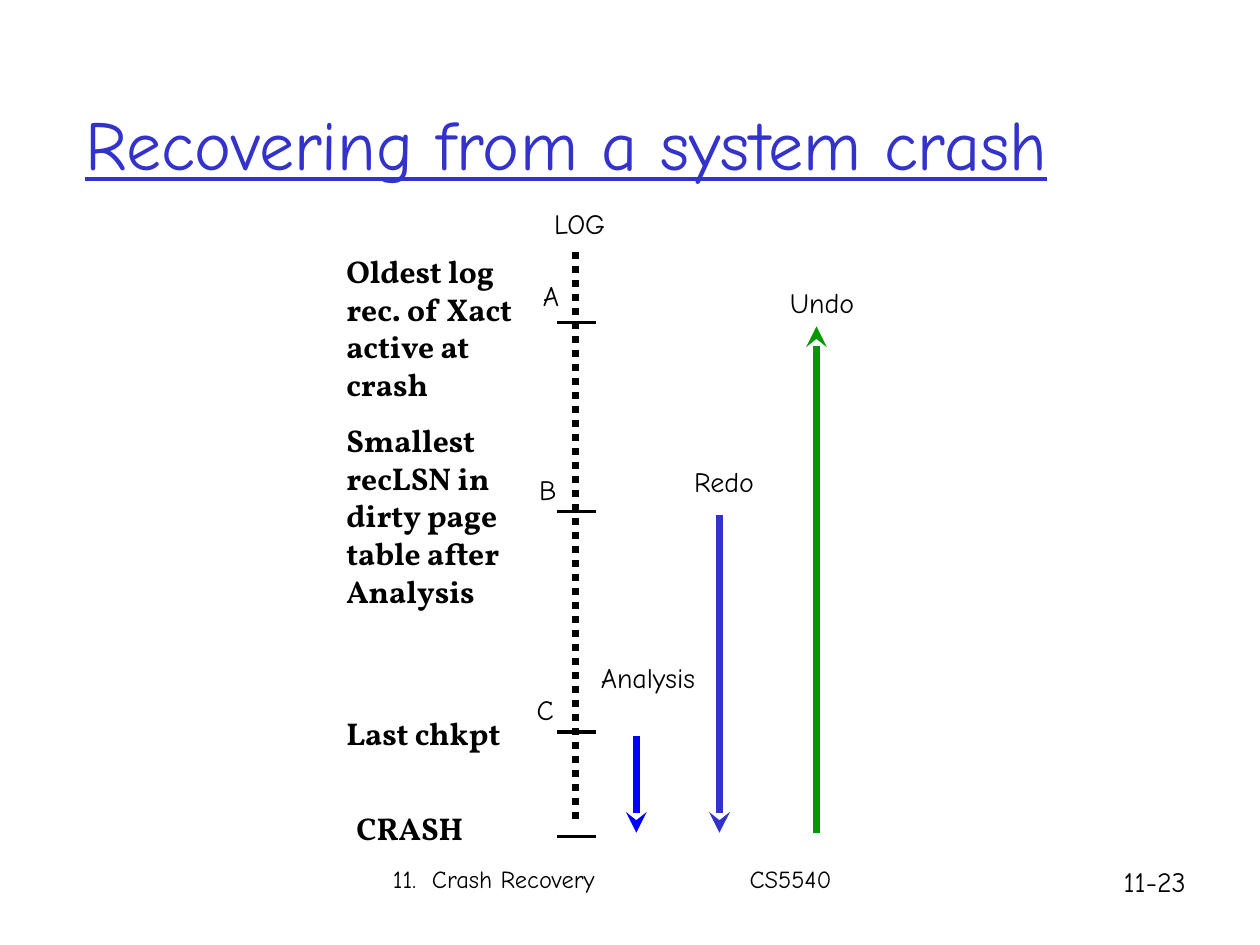
from lxml import etree
from pptx import Presentation
from pptx import util as u
from pptx.dml.color import RGBColor
from pptx.enum import dml, shapes, text
from pptx.oxml import ns

BLACK = RGBColor(0x00, 0x00, 0x00)
INDIGO = RGBColor(0x33, 0x33, 0xCC)
BLUE = RGBColor(0x00, 0x00, 0xFF)
GREEN = RGBColor(0x00, 0x99, 0x00)
HAND, SERIF = "Comic Neue", "Vollkorn"
LOG_X, CRASH_Y = 4.57, 6.61
TICK_LEFT, TICK_RIGHT = 4.42, 4.73


def add_text(slide, words, box, size=16, name=HAND, color=BLACK, bold=False,
             underline=False, wrap=True, anchor=text.MSO_ANCHOR.TOP, tabs=()):
    """Add a one-paragraph text box, with optional tab stops in inches."""
    shape = slide.shapes.add_textbox(*map(u.Inches, box))
    frame = shape.text_frame
    frame.word_wrap = wrap
    frame.vertical_anchor = anchor
    paragraph = frame.paragraphs[0]
    paragraph.text = words
    if tabs:
        properties = paragraph._p.get_or_add_pPr()
        tab_list = etree.SubElement(properties, ns.qn("a:tabLst"))
        for stop in tabs:
            etree.SubElement(tab_list, ns.qn("a:tab"),
                             pos=str(u.Inches(stop)), algn="l")
    font = paragraph.font
    font.size, font.name, font.bold = u.Pt(size), name, bold
    font.underline = underline
    font.color.rgb = color


def add_line(slide, start, end, color=BLACK, width=2, dash=None, arrow=False):
    """Add a straight line, optionally dashed or with a stealth arrowhead at its end."""
    connector = slide.shapes.add_connector(
        shapes.MSO_CONNECTOR.STRAIGHT, *map(u.Inches, (*start, *end)))
    line = connector.line
    line.color.rgb = color
    line.width = u.Pt(width)
    if dash:
        line.dash_style = dash
    if arrow:
        etree.SubElement(line._get_or_add_ln(), ns.qn("a:tailEnd"), type="stealth")
    etree.SubElement(connector._element.spPr, ns.qn("a:effectLst"))


def add_log(slide):
    """Draw the dotted log with its ticks, letters and descriptions."""
    add_line(slide, (LOG_X, 2), (LOG_X, 6.53), width=4, dash=dml.MSO_LINE.ROUND_DOT)
    add_text(slide, "LOG", (4.3, 1.59, 0.61, 0.37), wrap=False)
    for y in (2.56, 4.06, 5.81, 6.64):
        add_line(slide, (TICK_LEFT, y), (TICK_RIGHT, y))
    for letter, left, top in (("A", 4.21, 2.16), ("B", 4.18, 3.7), ("C", 4.16, 5.45)):
        add_text(slide, letter, (left, top, 0.35, 0.37), wrap=False)
    for words, left, top, height in (
            ("Oldest log rec. of Xact active at crash", 2.65, 1.95, 1.3),
            ("Smallest recLSN in dirty page table after Analysis", 2.65, 3.29, 1.6),
            ("Last chkpt", 2.65, 5.62, 0.4),
            ("CRASH", 2.73, 6.37, 0.4)):
        add_text(slide, words, (left, top, 1.84, height), 18, SERIF, bold=True)


def add_phases(slide):
    """Draw the labelled arrow of each recovery phase."""
    for words, box, x, start, end, color in (
            ("Analysis", (4.67, 5.19, 0.95, 0.37), 5.05, 5.84, CRASH_Y, BLUE),
            ("Redo", (5.41, 3.64, 0.68, 0.37), 5.71, 4.09, CRASH_Y, INDIGO),
            ("Undo", (6.17, 2.22, 0.71, 0.37), 6.48, CRASH_Y, 2.59, GREEN)):
        add_line(slide, (x, start), (x, end), color, 4, arrow=True)
        add_text(slide, words, box, wrap=False)


def main():
    """Build and save the slide."""
    presentation = Presentation()
    presentation.slide_width, presentation.slide_height = u.Inches(10), u.Inches(7.5)
    slide = presentation.slides.add_slide(presentation.slide_layouts[6])
    add_text(slide, "Recovering from a system crash", (0.58, 0.51, 8.5, 1.24), 40,
             color=INDIGO, underline=True, anchor=text.MSO_ANCHOR.MIDDLE)
    add_log(slide)
    add_phases(slide)
    add_text(slide, "11.\tCrash Recovery\tCS5540", (3.02, 6.81, 5.68, 0.5), 14,
             tabs=(0.31, 2.83))
    add_text(slide, "11-23", (8.82, 6.81, 0.91, 0.37))
    presentation.save("out.pptx")


if __name__ == "__main__":
    main()
